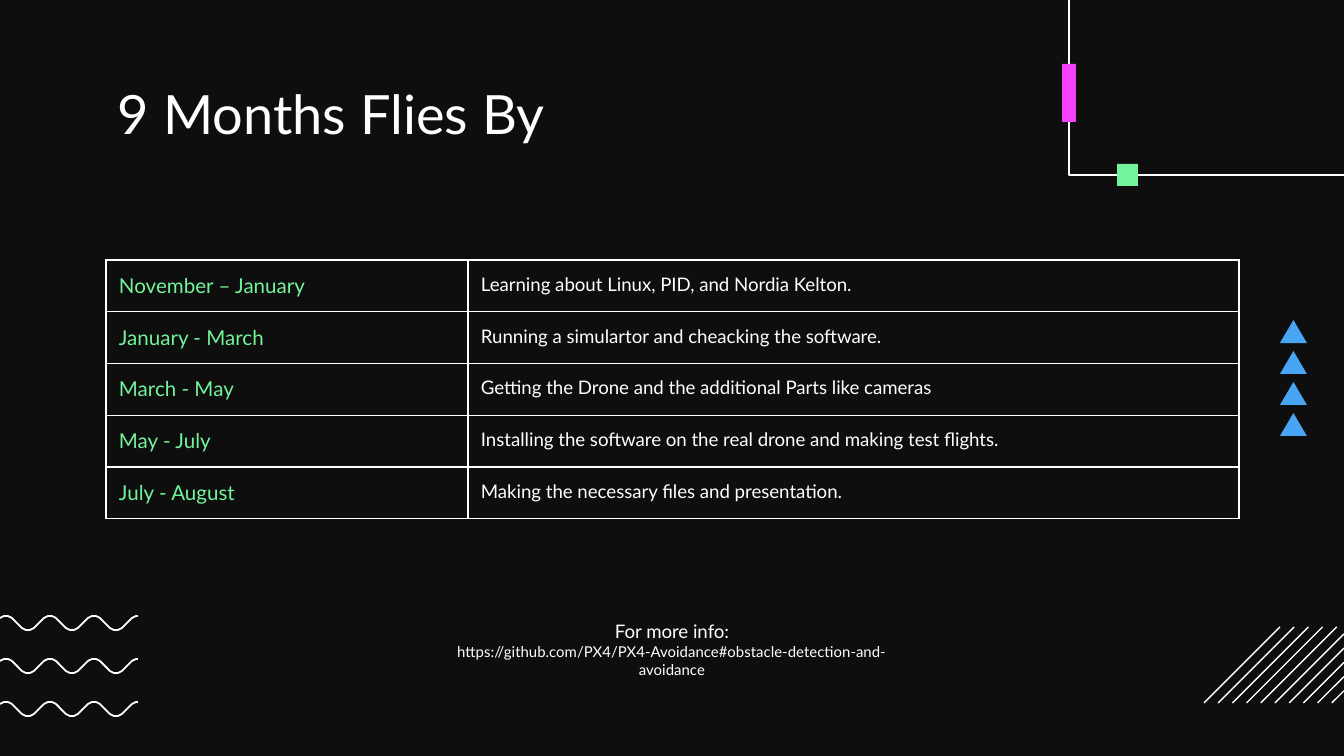
from math import cos, pi

from lxml.etree import SubElement
from pptx import Presentation
from pptx.dml.color import RGBColor
from pptx.enum.shapes import MSO_CONNECTOR as Connector, MSO_SHAPE as Shape
from pptx.enum.text import MSO_ANCHOR as Anchor, PP_ALIGN as Align
from pptx.oxml import parse_xml
from pptx.oxml.ns import nsdecls, qn
from pptx.util import Pt

TITLE = "9 Months Flies By"
SCHEDULE = [
    ("November – January", "Learning about Linux, PID, and Nordia Kelton."),
    ("January - March", "Running a simulartor and cheacking the software."),
    ("March - May", "Getting the Drone and the additional Parts like cameras"),
    ("May - July", "Installing the software on the real drone and making test flights."),
    ("July - August", "Making the necessary files and presentation."),
]
INFO_LABEL = "For more info:"
INFO_LINK = "https://github.com/PX4/PX4-Avoidance#obstacle-detection-and-avoidance"

FONT = "Lato"
BLACK = RGBColor(0x0E, 0x0E, 0x0E)
WHITE = RGBColor(0xFF, 0xFF, 0xFF)
GREEN = RGBColor(0x72, 0xF4, 0x9A)
BLUE = RGBColor(0x47, 0xA5, 0xF3)
PINK = RGBColor(0xF3, 0x41, 0xFF)

SCALE = 914400 / 134.4
WIDTH, HEIGHT = 1344, 756
INSET = 13
COLUMNS = (362, 771)
TABLE_HEIGHT = 259
WAVE_END, HALF_WAVE, WAVE_HEIGHT = 138, 22, 14
STRIPE_SIZE = 76


def px(value):
    return round(value * SCALE)


def set_font(paragraph, size, color):
    font = paragraph.font
    font.name, font.size = FONT, Pt(size)
    font.color.rgb = color


def set_insets(target, top=INSET):
    target.margin_left = target.margin_right = target.margin_bottom = px(INSET)
    target.margin_top = px(top)


def add_text_frame(slide, left, top, width, height, inset_top=INSET):
    box = slide.shapes.add_textbox(px(left), px(top), px(width), px(height))
    frame = box.text_frame
    frame.word_wrap = True
    set_insets(frame, inset_top)
    return frame


def add_block(slide, kind, color, left, top, width, height):
    shape = slide.shapes.add_shape(kind, px(left), px(top), px(width), px(height))
    shape.shadow.inherit = False
    shape.fill.solid()
    shape.fill.fore_color.rgb = color
    shape.line.fill.background()


def add_outline(slide, points, width):
    builder = slide.shapes.build_freeform(*points[0], scale=SCALE)
    builder.add_line_segments(points[1:], close=False)
    shape = builder.convert_to_shape()
    shape.shadow.inherit = False
    shape.fill.background()
    shape.line.color.rgb = WHITE
    shape.line.width = Pt(width)


def add_stripe(slide, left, bottom):
    run = min(STRIPE_SIZE, WIDTH - left)
    stripe = slide.shapes.add_connector(
        Connector.STRAIGHT, px(left), px(bottom), px(left + run), px(bottom - run))
    stripe.line.color.rgb = WHITE
    stripe.line.width = Pt(0.75)
    SubElement(stripe._element.spPr, qn("a:effectLst"))


def add_borders(cell):
    properties = cell._tc.get_or_add_tcPr()
    for index, side in enumerate("LRTB"):
        properties.insert(index, parse_xml(
            f'<a:ln{side} {nsdecls("a")} w="{Pt(0.75)}"><a:solidFill>'
            f'<a:srgbClr val="{WHITE}"/></a:solidFill></a:ln{side}>'))


def add_schedule(slide, left, top):
    table = slide.shapes.add_table(
        len(SCHEDULE), len(COLUMNS), px(left), px(top),
        px(sum(COLUMNS)), px(TABLE_HEIGHT)).table
    table.first_row = table.horz_banding = False
    for column, width in zip(table.columns, COLUMNS):
        column.width = px(width)
    for row, texts in zip(table.rows, SCHEDULE):
        row.height = px(TABLE_HEIGHT) // len(SCHEDULE)
        for cell, text, size, color in zip(row.cells, texts, (11, 10), (GREEN, WHITE)):
            cell.text = text
            cell.vertical_anchor = Anchor.TOP
            set_insets(cell)
            cell.fill.background()
            add_borders(cell)
            set_font(cell.text_frame.paragraphs[0], size, color)


def add_decoration(slide):
    for row in range(3):
        top = 616 + 43 * row
        add_outline(slide, [
            (x, top + WAVE_HEIGHT / 2 * (1 - cos(pi * (WAVE_END - x) / HALF_WAVE)))
            for x in range(0, WAVE_END + 1, 2)], 0.95)
    for row in range(4):
        add_block(slide, Shape.ISOSCELES_TRIANGLE, BLUE, 1280, 320 + 31 * row, 27, 23)
    for index in range(10):
        add_stripe(slide, 1204 + 14.2 * index, 703)
    add_outline(slide, [(WIDTH, 175), (1069, 175), (1069, 0)], 0.75)
    add_block(slide, Shape.RECTANGLE, GREEN, 1117, 164, 21, 22)
    add_block(slide, Shape.RECTANGLE, PINK, 1062, 64, 14, 58)


def add_info(slide):
    paragraph = add_text_frame(slide, 441, 607, 462, 89).paragraphs[0]
    paragraph.alignment = Align.CENTER
    set_font(paragraph, 10, WHITE)
    label = paragraph.add_run()
    label.text = INFO_LABEL
    paragraph.add_line_break()
    link = paragraph.add_run()
    link.text = INFO_LINK
    link.font.size = Pt(8)


def main():
    presentation = Presentation()
    presentation.slide_width, presentation.slide_height = px(WIDTH), px(HEIGHT)
    slide = presentation.slides.add_slide(presentation.slide_layouts[6])
    slide.background.fill.solid()
    slide.background.fill.fore_color.rgb = BLACK

    add_decoration(slide)
    title = add_text_frame(slide, 105, 80, 1134, 62, inset_top=0).paragraphs[0]
    title.text = TITLE
    set_font(title, 29, WHITE)
    add_schedule(slide, 106, 260)
    add_info(slide)
    presentation.save("out.pptx")


if __name__ == "__main__":
    main()
